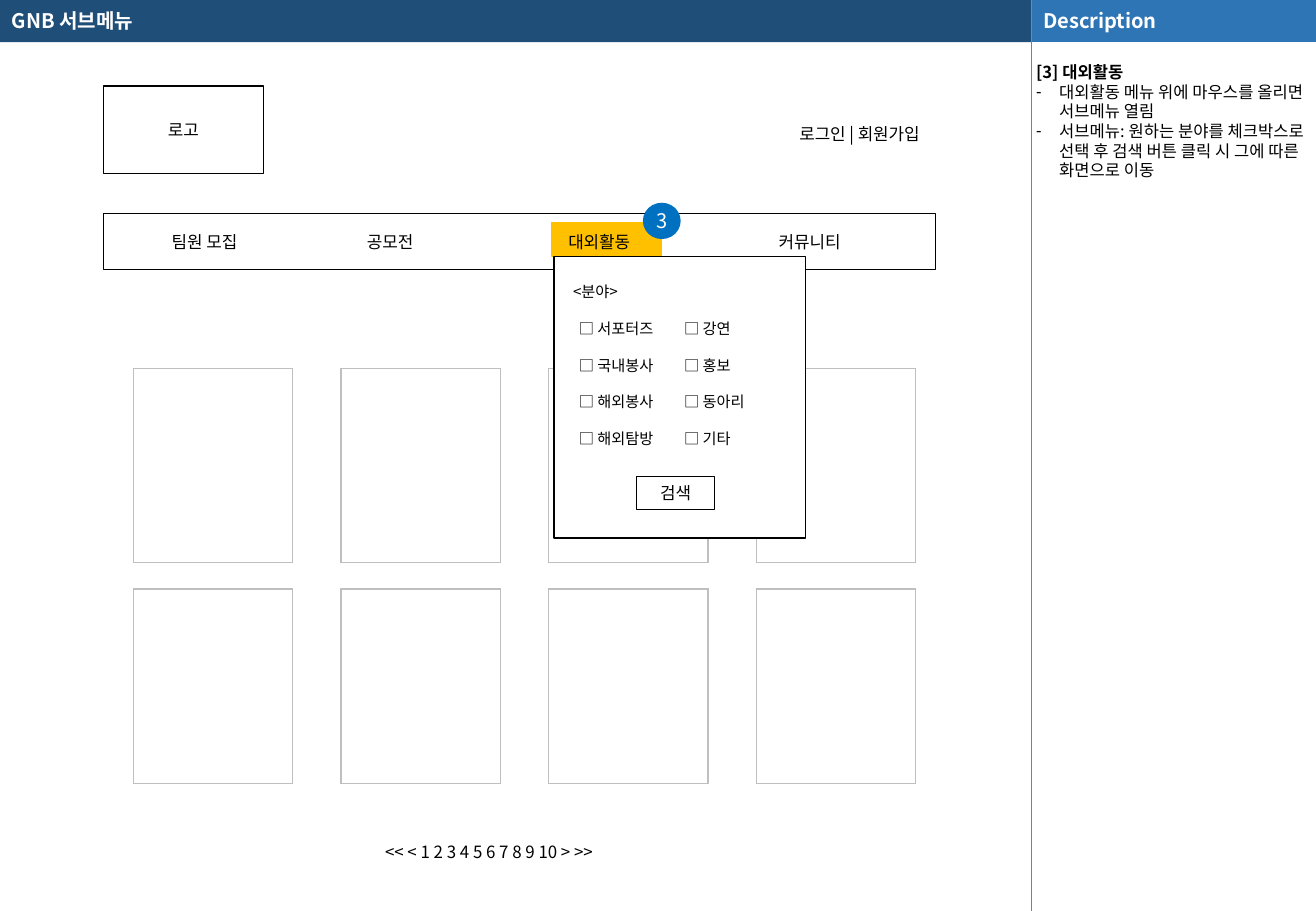
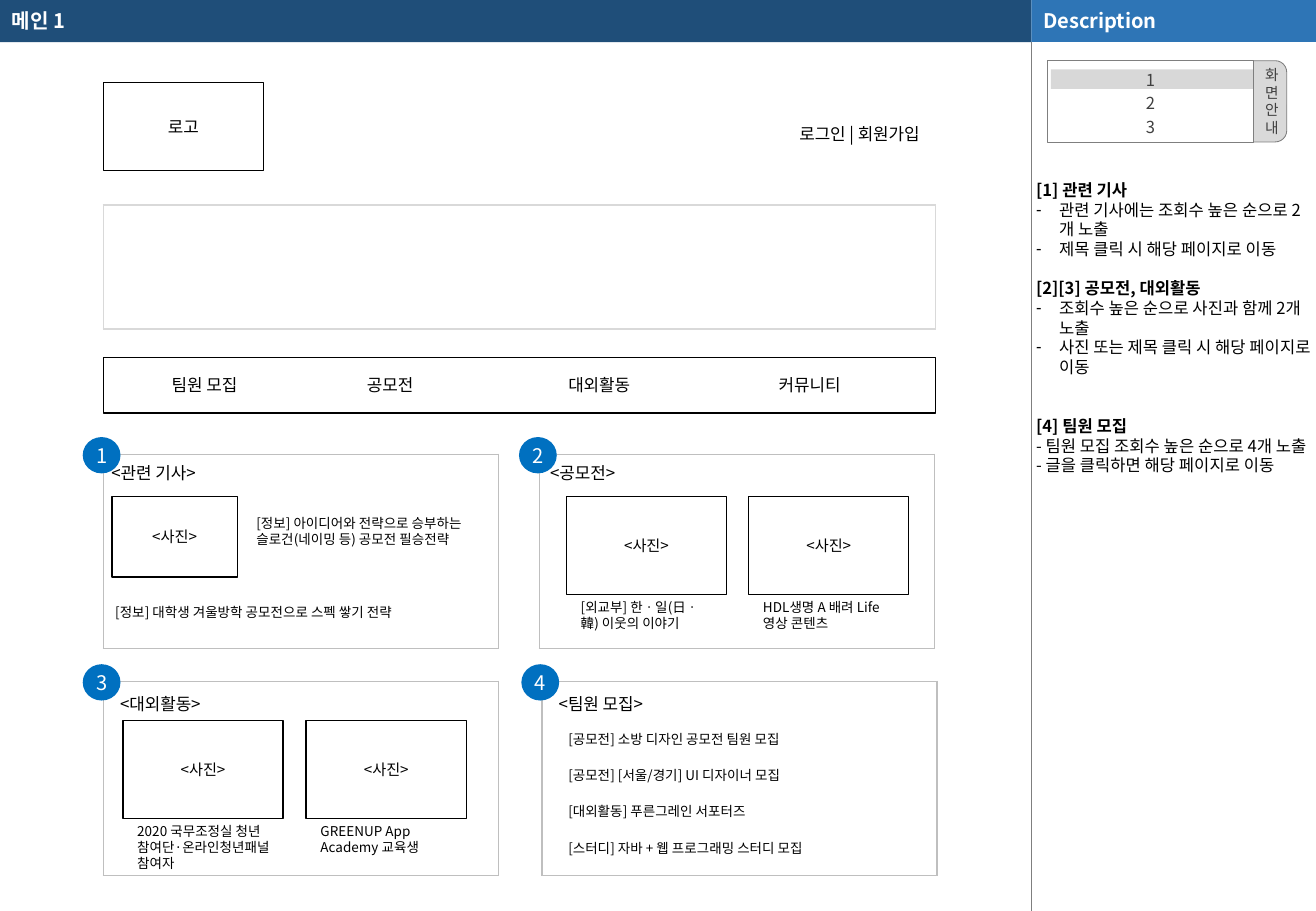
from dataclasses import dataclass
from typing import Optional, Sequence

from lxml.etree import SubElement
from pptx import Presentation
from pptx.dml.color import RGBColor
from pptx.enum.shapes import MSO_CONNECTOR, MSO_SHAPE
from pptx.enum.text import MSO_ANCHOR, MSO_AUTO_SIZE, PP_ALIGN
from pptx.oxml.ns import qn
from pptx.util import Cm, Pt

FONT = "Noto Sans CJK KR"
NAVY = RGBColor(0x1F, 0x4E, 0x79)
BLUE = RGBColor(0x2E, 0x75, 0xB6)
BADGE_BLUE = RGBColor(0x00, 0x70, 0xC0)
AMBER = RGBColor(0xFF, 0xC0, 0x00)
WHITE = RGBColor(0xFF, 0xFF, 0xFF)
BLACK = RGBColor(0x00, 0x00, 0x00)
CHARCOAL = RGBColor(0x40, 0x40, 0x40)
RULE_GREY = RGBColor(0x7F, 0x7F, 0x7F)
FRAME_GREY = RGBColor(0xBF, 0xBF, 0xBF)
PALE_GREY = RGBColor(0xD9, 0xD9, 0xD9)

PAGE_WIDTH, PAGE_HEIGHT = 27.51, 19.05
HEADER_HEIGHT, PANEL_LEFT = 0.88, 21.56
PANEL_WIDTH = PAGE_WIDTH - PANEL_LEFT
CONTENT_LEFT, CONTENT_WIDTH = 2.16, 17.4
LINE_PITCH = 1.19
NOTE_SIZE = 9.8


@dataclass(frozen=True)
class Area:
    """A rectangle in centimetres."""
    left: float
    top: float
    width: float
    height: float

    def lengths(self) -> tuple:
        """Return the four lengths that python-pptx expects."""
        return Cm(self.left), Cm(self.top), Cm(self.width), Cm(self.height)


@dataclass(frozen=True)
class Note:
    """One paragraph of the description panel."""
    text: str
    bold: bool = False
    bullet: bool = False
    blank_lines: int = 0


@dataclass(frozen=True)
class Section:
    """A numbered, framed block of the main page."""
    left: float
    top: float
    heading: str
    heading_left: float
    heading_top: float


@dataclass(frozen=True)
class Photo:
    """A photo placeholder with the caption under it."""
    left: float
    top: float
    caption: str


@dataclass(frozen=True)
class Post:
    """A one-line entry and the width it may take."""
    text: str
    width: float


NAV_ITEMS = (("팀원 모집", 3.34), ("공모전", 7.42), ("대외활동", 11.63), ("커뮤니티", 16.03))
OPTION_COLUMNS = (
    (11.85, ("서포터즈", "국내봉사", "해외봉사", "해외탐방")),
    (14.05, ("강연", "홍보", "동아리", "기타")),
)
SUBMENU_NOTES = (
    Note("[3] 대외활동", bold=True),
    Note("대외활동 메뉴 위에 마우스를 올리면 서브메뉴 열림", bullet=True),
    Note("서브메뉴: 원하는 분야를 체크박스로 선택 후 검색 버튼 클릭 시 그에 따른 화면으로 이동", bullet=True),
)
MAIN_NOTES = (
    Note("[1] 관련 기사", bold=True),
    Note("관련 기사에는 조회수 높은 순으로 2개 노출", bullet=True),
    Note("제목 클릭 시 해당 페이지로 이동", bullet=True),
    Note("[2][3] 공모전, 대외활동", bold=True, blank_lines=1),
    Note("조회수 높은 순으로 사진과 함께 2개 노출", bullet=True),
    Note("사진 또는 제목 클릭 시 해당 페이지로 이동", bullet=True),
    Note("[4] 팀원 모집", bold=True, blank_lines=2),
    Note("- 팀원 모집 조회수 높은 순으로 4개 노출"),
    Note("- 글을 클릭하면 해당 페이지로 이동"),
)
SECTIONS = (
    Section(2.16, 9.5, "<관련 기사>", 2.08, 9.55),
    Section(11.28, 9.5, "<공모전>", 11.25, 9.55),
    Section(2.16, 14.25, "<대외활동>", 2.26, 14.38),
    Section(11.33, 14.25, "<팀원 모집>", 11.43, 14.38),
)
PHOTOS = (
    Photo(11.84, 10.39, "[외교부] 한ㆍ일(日ㆍ韓) 이웃의 이야기"),
    Photo(15.65, 10.39, "HDL생명 A 배려 Life 영상 콘텐츠"),
    Photo(2.57, 15.06, "2020 국무조정실 청년 참여단·온라인청년패널 참여자"),
    Photo(6.4, 15.06, "GREENUP App Academy 교육생"),
)
POSTS = (
    Post("[공모전] 소방 디자인 공모전 팀원 모집", 5.64),
    Post("[공모전] [서울/경기] UI 디자이너 모집", 5.36),
    Post("[대외활동] 푸른그레인 서포터즈", 5.36),
    Post("[스터디] 자바 + 웹 프로그래밍 스터디 모집", 6.07),
)


def write_text(para, text: str, *, size: float = 10, colour: RGBColor = BLACK,
               bold: bool = False, align=PP_ALIGN.LEFT, pitch: float = LINE_PITCH,
               before: float = 0, after: float = 0) -> None:
    """Put one formatted span into a paragraph."""
    para.alignment = align
    para.line_spacing = Pt(size * pitch)
    para.space_before, para.space_after = Pt(before), Pt(after)
    span = para.add_run()
    span.text = text
    span.font.name, span.font.size, span.font.bold = FONT, Pt(size), bold
    span.font.color.rgb = colour
    SubElement(span.font._element, qn("a:ea")).set("typeface", FONT)


def write_lines(frame, lines: Sequence[str], **text_format) -> None:
    """Write each line as a paragraph of the frame."""
    for index, line in enumerate(lines):
        para = frame.add_paragraph() if index else frame.paragraphs[0]
        write_text(para, line, **text_format)


def set_margins(frame, left: float, top: float, right: float, bottom: float) -> None:
    """Set the four insets of a text frame in centimetres."""
    frame.margin_left, frame.margin_top = Cm(left), Cm(top)
    frame.margin_right, frame.margin_bottom = Cm(right), Cm(bottom)


def place(shape, area: Area) -> None:
    """Move a placeholder and keep its text size fixed."""
    shape.left, shape.top, shape.width, shape.height = area.lengths()
    shape.text_frame.auto_size = MSO_AUTO_SIZE.NONE
    shape.text_frame.word_wrap = True


def add_label(page, area: Area, *lines: str, **text_format) -> None:
    """Add a wrapping text box."""
    frame = page.shapes.add_textbox(*area.lengths()).text_frame
    frame.word_wrap = True
    write_lines(frame, lines, **text_format)


def add_block(page, area: Area, *lines: str, kind=MSO_SHAPE.RECTANGLE,
              fill: Optional[RGBColor] = None, line: Optional[RGBColor] = BLACK,
              line_width: float = 0.75, margins: tuple = (0, 0, 0, 0),
              align=PP_ALIGN.CENTER, **text_format):
    """Add a flat preset shape with optional text."""
    shape = page.shapes.add_shape(kind, *area.lengths())
    shape.shadow.inherit = False
    if fill is None:
        shape.fill.background()
    else:
        shape.fill.solid()
        shape.fill.fore_color.rgb = fill
    if line is None:
        shape.line.fill.background()
    else:
        shape.line.color.rgb = line
        shape.line.width = Pt(line_width)
    frame = shape.text_frame
    set_margins(frame, *margins)
    frame.vertical_anchor = MSO_ANCHOR.MIDDLE
    write_lines(frame, lines, align=align, **text_format)
    return shape


def add_frame(page, area: Area, colour: RGBColor = FRAME_GREY) -> None:
    """Add an empty one-cell table with a thin border."""
    table = page.shapes.add_table(1, 1, *area.lengths()).table
    table.first_row = table.horz_banding = False
    cell = table.cell(0, 0)
    properties = cell._tc.get_or_add_tcPr()
    for side in ("a:lnL", "a:lnR", "a:lnT", "a:lnB"):
        border = SubElement(properties, qn(side), w=str(Pt(1)))
        solid = SubElement(border, qn("a:solidFill"))
        SubElement(solid, qn("a:srgbClr"), val=str(colour))
    cell.fill.background()


def add_badge(page, left: float, top: float, number: int) -> None:
    """Add a numbered blue disc."""
    add_block(page, Area(left, top, 0.79, 0.76), str(number), kind=MSO_SHAPE.OVAL,
              fill=BADGE_BLUE, line=None, size=11.9, colour=WHITE)


def write_notes(body, notes: Sequence[Note], top: float) -> None:
    """Fill the description panel."""
    place(body, Area(PANEL_LEFT, top, PANEL_WIDTH, PAGE_HEIGHT - top))
    frame = body.text_frame
    set_margins(frame, 0.1, 0, 0.1, 0)
    for index, note in enumerate(notes):
        para = frame.add_paragraph() if index else frame.paragraphs[0]
        write_text(para, note.text, size=NOTE_SIZE, bold=note.bold,
                   before=note.blank_lines * NOTE_SIZE * LINE_PITCH)
        properties = para._p.get_or_add_pPr()
        indent = Cm(0.48) if note.bullet else 0
        properties.set("marL", str(indent))
        properties.set("indent", str(-indent))
        if note.bullet:
            SubElement(properties, qn("a:buChar"), char="-")
        else:
            SubElement(properties, qn("a:buNone"))


def start_page(deck, title: str, notes: Sequence[Note], notes_top: float, logo_top: float):
    """Add a page with its bands, description, logo box and login links."""
    page = deck.slides.add_slide(deck.slide_layouts[1])
    heading = page.shapes.title
    place(heading, Area(0, 0, PANEL_LEFT, HEADER_HEIGHT))
    heading.fill.solid()
    heading.fill.fore_color.rgb = NAVY
    set_margins(heading.text_frame, 0.25, 0, 0.25, 0)
    heading.text_frame.vertical_anchor = MSO_ANCHOR.MIDDLE
    band_format = dict(size=11.9, colour=WHITE, bold=True)
    write_lines(heading.text_frame, [title], **band_format)
    write_notes(page.placeholders[1], notes, notes_top)
    divider = page.shapes.add_connector(MSO_CONNECTOR.STRAIGHT, Cm(PANEL_LEFT), Cm(HEADER_HEIGHT),
                                        Cm(PANEL_LEFT), Cm(PAGE_HEIGHT))
    divider.line.color.rgb = RULE_GREY
    divider.line.width = Pt(0.25)
    SubElement(divider._element.spPr, qn("a:effectLst"))
    add_block(page, Area(PANEL_LEFT, 0, PANEL_WIDTH, HEADER_HEIGHT), "Description", fill=BLUE,
              line=None, margins=(0.25, 0, 0.25, 0), align=PP_ALIGN.LEFT, **band_format)
    add_block(page, Area(CONTENT_LEFT, logo_top, 3.35, 1.83), "로고")
    add_label(page, Area(16.46, 2.46, 3.45, 0.69), "로그인 | 회원가입")
    return page


def add_navigation(page, top: float) -> None:
    """Add the menu bar and its four items."""
    add_block(page, Area(CONTENT_LEFT, top, CONTENT_WIDTH, 1.17))
    for text, left in NAV_ITEMS:
        add_label(page, Area(left, top + 0.25, 2.15, 0.69), text)


def build_submenu_page(deck) -> None:
    """Build the page with the open submenu."""
    page = start_page(deck, "GNB 서브메뉴", SUBMENU_NOTES, 1.3, 1.8)
    add_block(page, Area(11.53, 4.67, 2.29, 0.69), fill=AMBER, line=AMBER, line_width=1)
    add_navigation(page, 4.47)
    for index in range(8):
        row, column = divmod(index, 4)
        add_frame(page, Area(2.79 + column * 4.34, 7.7 + row * 4.62, 3.33, 4.06))
    add_label(page, Area(7.8, 17.48, 6.53, 0.69), "<< < 1 2 3 4 5 6 7 8 9 10 > >>")
    add_block(page, Area(11.58, 5.36, 5.26, 5.89), fill=WHITE)
    add_label(page, Area(11.73, 5.79, 4.9, 0.64), "<분야>", size=9)
    for left, options in OPTION_COLUMNS:
        add_label(page, Area(left, 6.56, 2.4, 2.9), *(f"□ {option}" for option in options),
                  size=9, after=10.9)
    add_badge(page, 13.44, 4.24, 3)
    add_block(page, Area(13.31, 9.96, 1.63, 0.69), "검색")


def add_screen_guide(page) -> None:
    """Add the small screen index of the description panel."""
    tab = add_block(page, Area(25.63, 1.27, 1.27, 1.7), *"화면안내", kind=MSO_SHAPE.ROUNDED_RECTANGLE,
                    fill=PALE_GREY, line=RULE_GREY, line_width=0.5, margins=(0, 0, 0.1, 0),
                    align=PP_ALIGN.RIGHT, size=8.7, colour=CHARCOAL)
    tab.adjustments[0] = 0.19
    add_block(page, Area(21.89, 1.27, 4.32, 1.7), *"123", fill=WHITE, line=RULE_GREY,
              line_width=0.5, size=9.8, colour=CHARCOAL, pitch=1.44)
    marker = add_block(page, Area(21.97, 1.45, 4.22, 0.41), fill=CHARCOAL, line=None)
    tint = marker._element.spPr.find(qn("a:solidFill")).find(qn("a:srgbClr"))
    SubElement(tint, qn("a:alpha"), val="20000")


def build_main_page(deck) -> None:
    """Build the main page with its four sections."""
    page = start_page(deck, "메인 1", MAIN_NOTES, 3.77, 1.73)
    add_screen_guide(page)
    add_frame(page, Area(CONTENT_LEFT, 4.29, CONTENT_WIDTH, 2.59), PALE_GREY)
    add_navigation(page, 7.47)
    for number, section in enumerate(SECTIONS, start=1):
        add_frame(page, Area(section.left, section.top, 8.26, 4.06))
        add_label(page, Area(section.heading_left, section.heading_top, 3, 0.69), section.heading)
        add_badge(page, section.left - 0.43, section.top - 0.36, number)
    add_block(page, Area(2.34, 10.39, 2.62, 1.68), "<사진>", size=9)
    add_label(page, Area(5.11, 10.64, 5.26, 0.94),
              "[정보] 아이디어와 전략으로 승부하는 슬로건(네이밍 등) 공모전 필승전략", size=8)
    add_label(page, Area(2.16, 12.5, 7.01, 0.61), "[정보] 대학생 겨울방학 공모전으로 스펙 쌓기 전략", size=8)
    for photo in PHOTOS:
        add_block(page, Area(photo.left, photo.top, 3.35, 2.05), "<사진>", size=9)
        add_label(page, Area(photo.left + 0.05, photo.top + 2.02, 3.28, 0.94), photo.caption, size=8)
    for index, post in enumerate(POSTS):
        add_label(page, Area(11.63, 15.16 + index * 0.76, post.width, 0.61), post.text, size=8)


def main() -> None:
    """Build and save the deck."""
    deck = Presentation()
    deck.slide_width, deck.slide_height = Cm(PAGE_WIDTH), Cm(PAGE_HEIGHT)
    build_submenu_page(deck)
    build_main_page(deck)
    deck.save("out.pptx")


if __name__ == "__main__":
    main()
